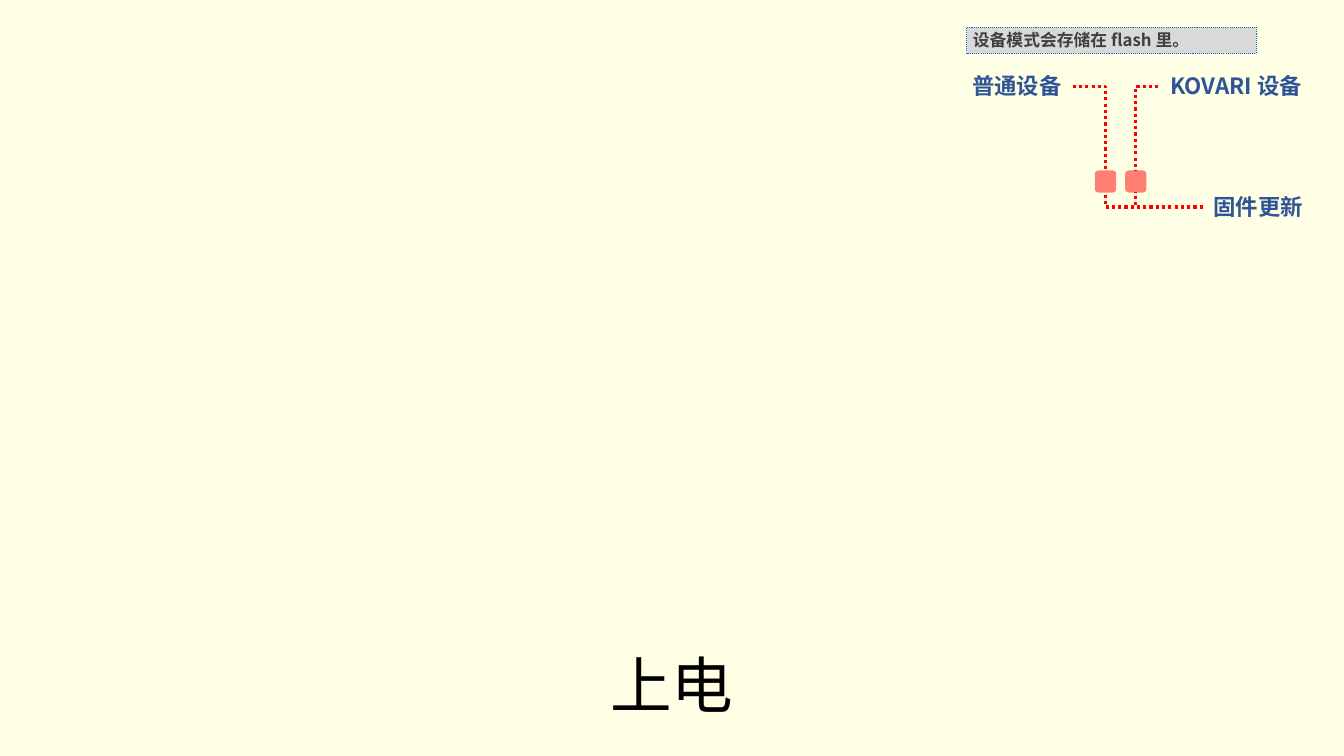
"""Build the power-on slide with its device mode diagram."""
import pptx
import pptx.util
import pptx.dml.color
import pptx.enum.dml
import pptx.enum.shapes
import pptx.enum.text
import pptx.oxml
import pptx.oxml.ns

Inches, Pt = pptx.util.Inches, pptx.util.Pt
Shape = pptx.enum.shapes.MSO_SHAPE
Align = pptx.enum.text.PP_ALIGN
Anchor = pptx.enum.text.MSO_ANCHOR
qn = pptx.oxml.ns.qn

FONT = "Noto Sans CJK SC"
HEX = {"page": "FFFFE5", "title": "000000", "label": "2F5597", "note": "404040",
       "gray": "D9D9D9", "edge": "0070C0", "red": "FF0000"}
TITLE = "上电"
NOTE = "设备模式会存储在 flash 里。"
LABELS = {
    "plain": ("普通设备", 9.53, 0.69, 1.11),
    "brand": ("KOVARI 设备", 11.49, 0.69, 1.54),
    "update": ("固件更新", 11.93, 1.89, 1.1),
}
BOXES = {"plain": 10.86, "brand": 11.16}
LINKS = [("plain", 3, "plain", 0), ("brand", 1, "brand", 0),
         ("update", 1, "plain", 2), ("update", 1, "brand", 2)]


def color(name):
    return pptx.dml.color.RGBColor.from_string(HEX[name])


def write(shape, text, size, tint, bold, align, space, left=0.04):
    frame = shape.text_frame
    frame.word_wrap = True
    frame.vertical_anchor = Anchor.MIDDLE
    frame.margin_left = Inches(left)
    frame.margin_right = frame.margin_top = frame.margin_bottom = Inches(0.04)
    para = frame.paragraphs[0]
    para.alignment, para.line_spacing = align, space
    run = para.add_run()
    run.text = text
    font = run.font
    font.name, font.size, font.bold = FONT, Pt(size), bold
    font.color.rgb = color(tint)
    east = pptx.oxml.parse_xml(
        '<a:ea xmlns:a="http://schemas.openxmlformats.org/drawingml/2006/main"/>')
    east.set("typeface", FONT)
    font._element.find(qn("a:latin")).addnext(east)


def dot(line, tint, width):
    line.color.rgb = color(tint)
    line.width = Pt(width)
    line.dash_style = pptx.enum.dml.MSO_LINE.ROUND_DOT


def add_box(slide, left):
    box = slide.shapes.add_shape(Shape.ROUNDED_RECTANGLE, Inches(left), Inches(1.69),
                                 Inches(0.21), Inches(0.22))
    box.shadow.inherit = False
    box.fill.solid()
    box.fill.fore_color.rgb = color("red")
    tone = box._element.spPr.find(qn("a:solidFill"))[0]
    tone.append(tone.makeelement(qn("a:alpha"), {"val": "50000"}))
    box.line.fill.background()
    return box


def add_label(slide, text, left, top, width):
    label = slide.shapes.add_textbox(Inches(left), Inches(top), Inches(width), Inches(0.33))
    write(label, text, 16, "label", True, Align.CENTER, Pt(18))
    return label


def add_link(slide, label, start, box, end):
    link = slide.shapes.add_connector(pptx.enum.shapes.MSO_CONNECTOR.ELBOW, 0, 0, 0, 0)
    link.begin_connect(label, start)
    link.end_connect(box, end)
    props = link._element.spPr
    props.find(qn("a:prstGeom")).set("prst", "bentConnector2")
    dot(link.line, "red", 2.25)
    props.append(props.makeelement(qn("a:effectLst"), {}))


def add_note(slide):
    note = slide.shapes.add_shape(Shape.RECTANGLE, Inches(9.59), Inches(0.27),
                                  Inches(2.87), Inches(0.26))
    note.shadow.inherit = False
    note.fill.solid()
    note.fill.fore_color.rgb = color("gray")
    dot(note.line, "edge", 0.75)
    write(note, NOTE, 12, "note", True, Align.LEFT, Pt(13), 0.06)


def main():
    deck = pptx.Presentation()
    deck.slide_width, deck.slide_height = Inches(13.33), Inches(7.5)
    slide = deck.slides.add_slide(deck.slide_layouts[5])
    slide.background.fill.solid()
    slide.background.fill.fore_color.rgb = color("page")
    title = slide.shapes.title
    title.left, title.top = Inches(0), Inches(6.46)
    title.width, title.height = Inches(13.33), Inches(1.04)
    write(title, TITLE, 44, "title", False, Align.CENTER, 0.9)
    title.text_frame.vertical_anchor = Anchor.TOP
    boxes = {name: add_box(slide, left) for name, left in BOXES.items()}
    labels = {name: add_label(slide, *spot) for name, spot in LABELS.items()}
    for label, start, box, end in LINKS:
        add_link(slide, labels[label], start, boxes[box], end)
    add_note(slide)
    deck.save("out.pptx")


if __name__ == "__main__":
    main()
